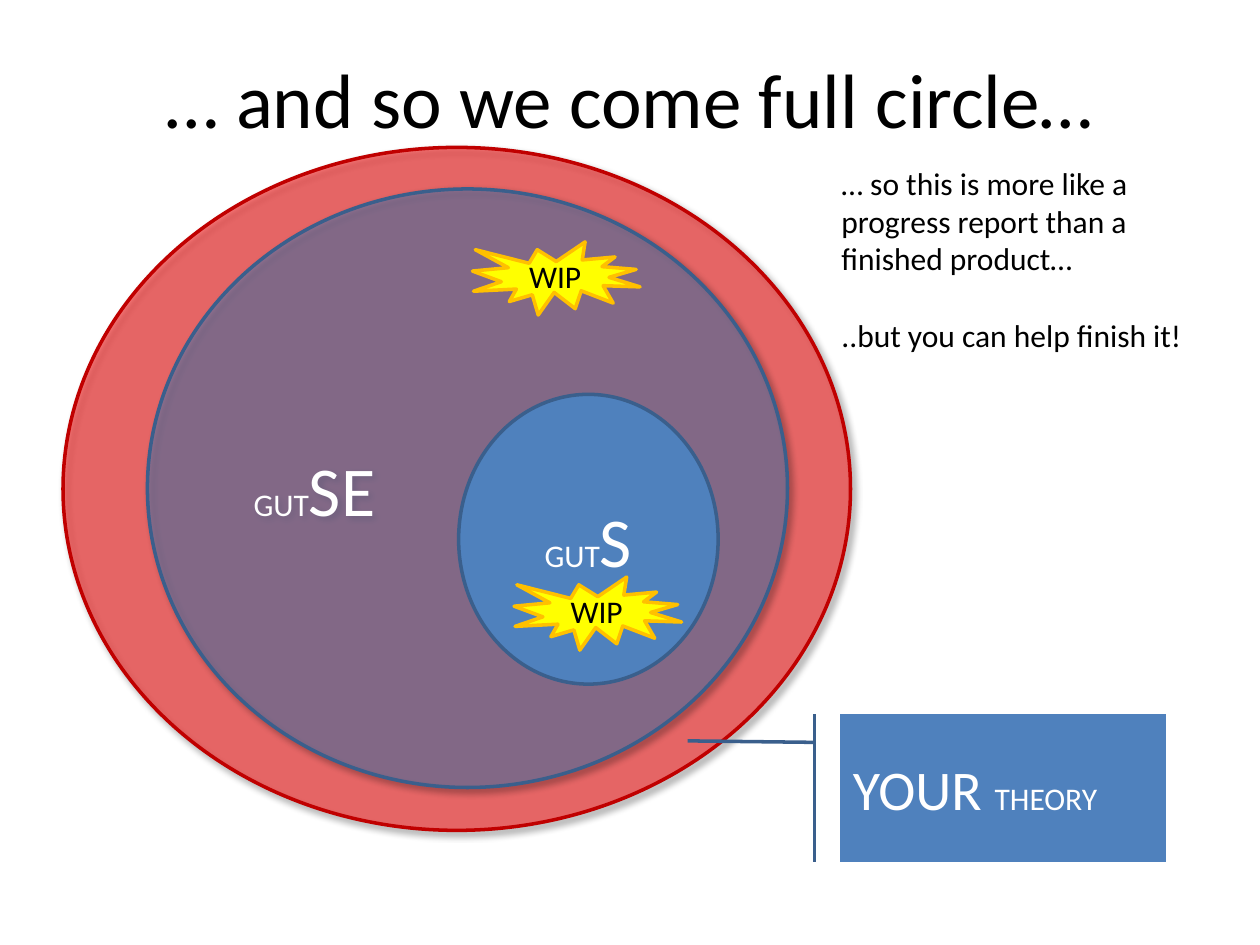
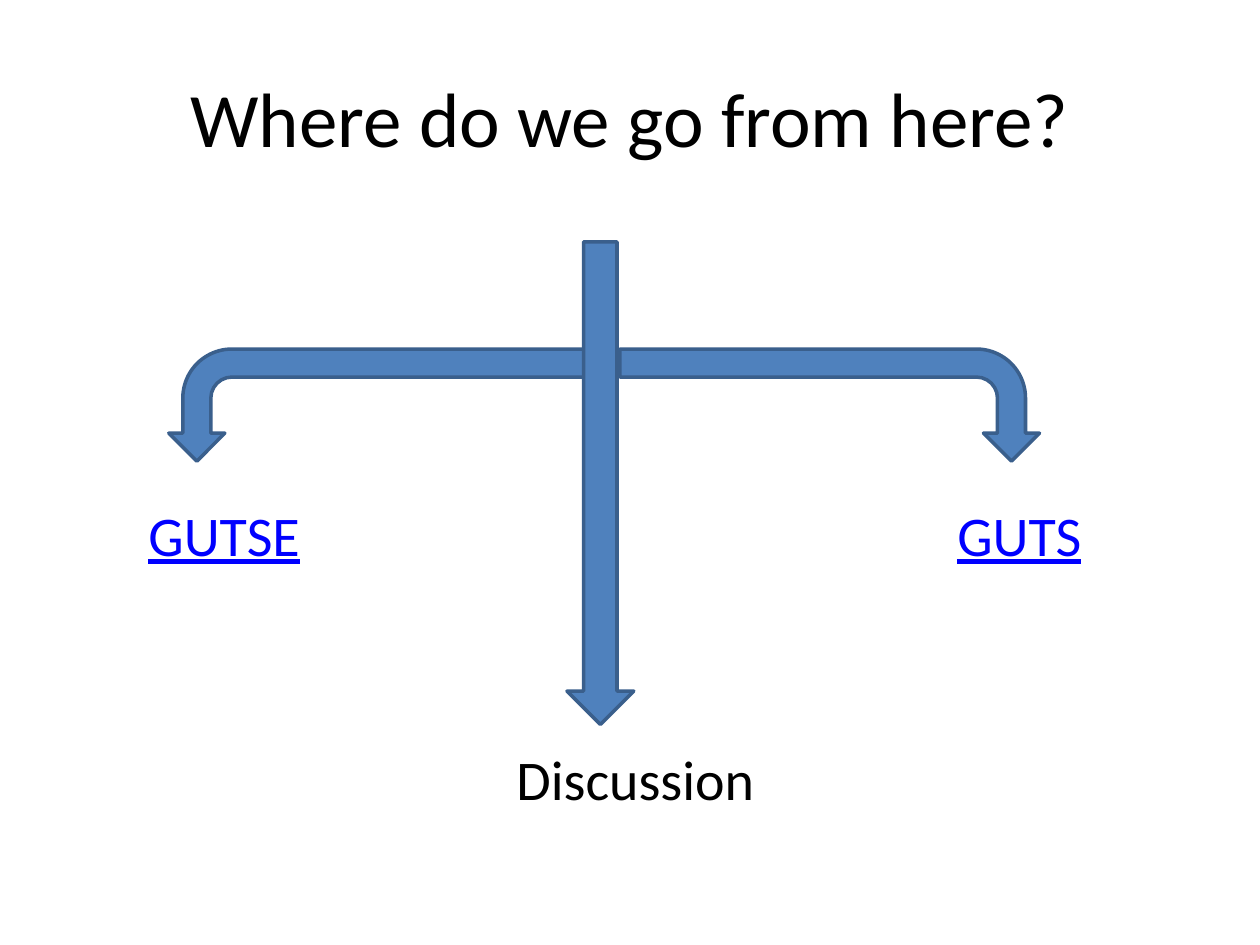
"""Build the two closing slides of the theory talk."""
import dataclasses

import lxml.etree
import pptx
import pptx.dml.color
import pptx.enum.shapes
import pptx.enum.text
import pptx.oxml.ns
import pptx.util

Inches = pptx.util.Inches
Preset = pptx.enum.shapes.MSO_SHAPE
Align = pptx.enum.text.PP_ALIGN
Anchor = pptx.enum.text.MSO_ANCHOR


@dataclasses.dataclass(frozen=True)
class Theme:
    """Colours, font and type sizes shared by the slides."""
    font: str = "Calibri"
    ink: str = "000000"
    paper: str = "FFFFFF"
    blue: str = "4F81BD"
    blue_edge: str = "3A5F8C"
    red: str = "FF0000"
    red_edge: str = "C00000"
    yellow: str = "FFFF00"
    yellow_edge: str = "FFC000"
    link: str = "0000FF"
    title: int = 44
    initial: int = 40
    label: int = 32
    body: int = 18
    edge_width: int = 2


class SlideBuilder:
    """Hold the theme and the current slide, and draw each kind of element."""

    def __init__(self, deck, theme):
        self.deck = deck
        self.theme = theme
        self.slide = None

    def new_slide(self, title, height):
        self.slide = self.deck.slides.add_slide(self.deck.slide_layouts[5])
        box = self.slide.shapes.title
        box.left, box.top = Inches(0.5), Inches(0.3)
        box.width, box.height = Inches(9), Inches(height)
        box.text_frame.vertical_anchor = Anchor.MIDDLE
        self.fill_text(box, [[(title, self.theme.title)]], self.theme.ink, Align.CENTER)

    def fill_text(self, box, paragraphs, color, align=Align.LEFT, underline=None, gap=0):
        frame = box.text_frame
        frame.word_wrap = True
        for index, spans in enumerate(paragraphs):
            para = frame.add_paragraph() if index else frame.paragraphs[0]
            para.alignment = align
            if index:
                para.space_before = pptx.util.Pt(gap)
            for text, size in spans:
                span = para.add_run()
                span.text = text
                span.font.name = self.theme.font
                span.font.size = pptx.util.Pt(size)
                span.font.underline = underline
                span.font.color.rgb = pptx.dml.color.RGBColor.from_string(color)

    def shape(self, preset, place, fill=None, edge=None):
        shape = self.slide.shapes.add_shape(preset, *map(Inches, place))
        shape.shadow.inherit = False
        shape.fill.solid()
        shape.fill.fore_color.rgb = pptx.dml.color.RGBColor.from_string(fill or self.theme.blue)
        shape.line.color.rgb = pptx.dml.color.RGBColor.from_string(edge or self.theme.blue_edge)
        shape.line.width = pptx.util.Pt(self.theme.edge_width)
        shape.text_frame.vertical_anchor = Anchor.MIDDLE
        return shape

    def glass_ellipse(self, place, fill, edge):
        shape = self.shape(Preset.OVAL, place, fill, edge)
        qn = pptx.oxml.ns.qn
        properties = shape.element.spPr
        color = properties.find(qn("a:solidFill")).find(qn("a:srgbClr"))
        lxml.etree.SubElement(color, qn("a:alpha"), val="50000")
        shadow = lxml.etree.SubElement(
            properties.find(qn("a:effectLst")), qn("a:outerShdw"),
            blurRad=str(pptx.util.Pt(4)), dist=str(pptx.util.Pt(3)),
            dir=str(45 * 60000), algn="tl", rotWithShape="0")
        shade = lxml.etree.SubElement(shadow, qn("a:srgbClr"), val=self.theme.ink)
        lxml.etree.SubElement(shade, qn("a:alpha"), val="40000")
        return shape

    def burst(self, left, top):
        theme = self.theme
        burst = self.shape(Preset.EXPLOSION1, (left, top, 1.33, 0.58),
                           theme.yellow, theme.yellow_edge)
        self.fill_text(burst, [[("WIP", theme.body)]], theme.ink, Align.CENTER)

    def bent_arrow(self, left, rotation, mirrored=False):
        arrow = self.shape(Preset.BENT_ARROW, (left, 1.55, 0.89, 3.33))
        arrow.rotation = rotation
        if mirrored:
            arrow.element.spPr.find(pptx.oxml.ns.qn("a:xfrm")).set("flipH", "1")

    def text(self, place, paragraphs, color=None, underline=None, gap=0):
        box = self.slide.shapes.add_textbox(*map(Inches, place))
        box.text_frame.auto_size = pptx.enum.text.MSO_AUTO_SIZE.SHAPE_TO_FIT_TEXT
        self.fill_text(box, paragraphs, color or self.theme.ink, underline=underline, gap=gap)


def full_circle(builder):
    theme = builder.theme
    builder.new_slide("… and so we come full circle…", 0.95)
    circle = builder.glass_ellipse((0.5, 1.17, 6.25, 5.42), theme.red, theme.red_edge)
    tree = circle.element.getparent()
    tree.remove(circle.element)
    tree.insert(tree.index(builder.slide.shapes.title.element), circle.element)

    gutse = builder.glass_ellipse((1.17, 1.5, 5.08, 4.75), theme.blue, theme.blue_edge)
    builder.fill_text(gutse, [[("GUT", theme.body), ("SE", theme.initial)]], theme.paper)
    guts = builder.shape(Preset.OVAL, (3.64, 3.13, 2.06, 2.3))
    builder.fill_text(guts, [[("GUT", theme.body), ("S", theme.initial)]],
                      theme.paper, Align.CENTER)
    builder.slide.shapes.add_group_shape([gutse, guts])

    builder.burst(4.08, 4.58)
    builder.burst(3.75, 1.92)
    builder.text((6.58, 1.25, 3, 1.62), [
        [("… so this is more like a progress report than a finished product…", theme.body)],
        [("..but you can help finish it!", theme.body)],
    ], gap=22)

    callout = builder.shape(Preset.LINE_CALLOUT_1_ACCENT_BAR, (6.67, 5.67, 2.58, 1.17))
    for index, value in enumerate((0.19, -0.08, 0.18, -0.47)):
        callout.adjustments[index] = value
    builder.fill_text(callout, [[("YOUR ", theme.label), ("THEORY", theme.body)]], theme.paper)


def next_steps(builder):
    theme = builder.theme
    builder.new_slide("Where do we go from here?", 1.25)
    builder.bent_arrow(2.56, 270, mirrored=True)
    builder.shape(Preset.DOWN_ARROW, (4.5, 1.92, 0.53, 3.83))
    builder.bent_arrow(6.14, 90)
    for name, left in (("GUTSE", 1.08), ("GUTS", 7.5)):
        builder.text((left, 3.92, 1.92, 0.64), [[(name, theme.label)]], theme.link, True)
    builder.text((4, 5.86, 2.67, 0.64), [[("Discussion", theme.label)]])


def main():
    deck = pptx.Presentation()
    deck.slide_width, deck.slide_height = Inches(10), Inches(7.5)
    builder = SlideBuilder(deck, Theme())
    full_circle(builder)
    next_steps(builder)
    deck.save("out.pptx")


if __name__ == "__main__":
    main()
